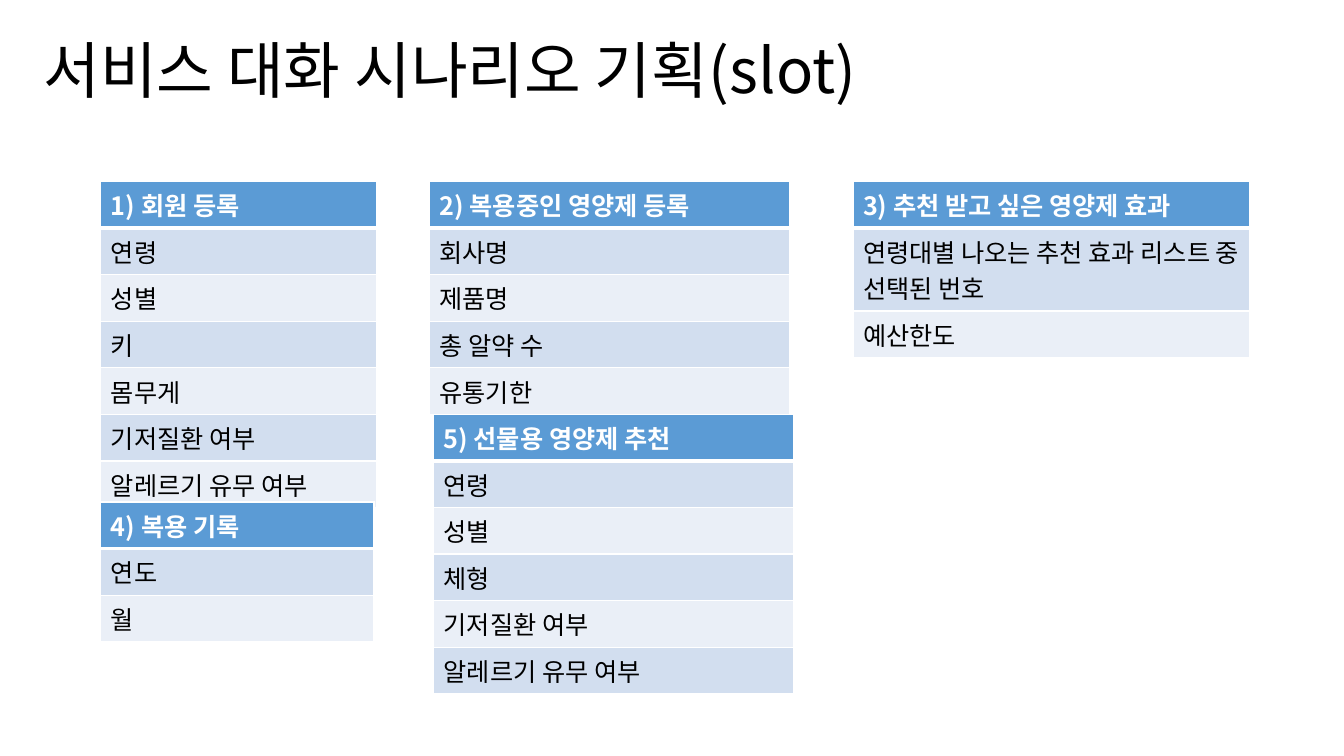
from lxml import etree
from pptx import Presentation
from pptx.dml.color import RGBColor
from pptx.enum.text import MSO_ANCHOR, PP_ALIGN
from pptx.oxml.ns import qn
from pptx.util import Inches, Pt

LEFT = PP_ALIGN.LEFT
TOP, MIDDLE = MSO_ANCHOR.TOP, MSO_ANCHOR.MIDDLE
TITLE_ONLY = 5

BLACK = RGBColor(0x00, 0x00, 0x00)
WHITE = RGBColor(0xFF, 0xFF, 0xFF)
BLUE = RGBColor(0x5B, 0x9B, 0xD5)
BANDS = (RGBColor(0xD2, 0xDE, 0xEF), RGBColor(0xEA, 0xEF, 0xF7))

FONT = "Noto Sans CJK KR"
ROW_H = 0.41
TOP_ROW = 1.8

SLOTS = [
    ((1, TOP_ROW, 2.74), "1) 회원 등록",
     ["연령", "성별", "키", "몸무게", "기저질환 여부", "알레르기 유무 여부"]),
    ((4.26, TOP_ROW, 3.57), "2) 복용중인 영양제 등록",
     ["회사명", "제품명", "총 알약 수", "유통기한"]),
    ((8.46, TOP_ROW, 3.93), "3) 추천 받고 싶은 영양제 효과",
     ["연령대별 나오는 추천 효과 리스트 중 선택된 번호", "예산한도"]),
    ((1, 4.98, 2.71), "4) 복용 기록", ["연도", "월"]),
    ((4.3, 4.11, 3.57), "5) 선물용 영양제 추천",
     ["연령", "성별", "체형", "기저질환 여부", "알레르기 유무 여부"]),
]


def write(tf, text, size=18, color=BLACK, bold=False, spacing=None):
    """Write one left-aligned paragraph in the slide's font."""
    p = tf.paragraphs[0]
    p.alignment = LEFT
    p.line_spacing = spacing
    r = p.add_run()
    r.text = text
    r.font.name = FONT
    r.font.size = Pt(size)
    r.font.bold = bold
    r.font.color.rgb = color
    ea = etree.SubElement(r.font._element, qn("a:ea"))
    ea.set("typeface", FONT)


def set_borders(cell, bottom=1):
    """Draw white borders round a cell, with its own bottom width."""
    tcPr = cell._tc.get_or_add_tcPr()
    widths = {"L": 1, "R": 1, "T": 1, "B": bottom}
    for i, (side, width) in enumerate(widths.items()):
        ln = etree.Element(qn(f"a:ln{side}"), w=str(Pt(width)))
        fill = etree.SubElement(ln, qn("a:solidFill"))
        etree.SubElement(fill, qn("a:srgbClr"), val=str(WHITE))
        tcPr.insert(i, ln)


def add_title(s, text, box):
    """Place and format the slide title."""
    sp = s.shapes.title
    sp.left, sp.top, sp.width, sp.height = map(Inches, box)
    tf = sp.text_frame
    tf.word_wrap = True
    tf.vertical_anchor = MIDDLE
    write(tf, text, size=44, spacing=0.9)


def add_slot_table(s, box, heading, items):
    """Add a one-column table with a heading and banded rows."""
    left, top, width = box
    texts = [heading, *items]
    table = s.shapes.add_table(
        len(texts), 1, Inches(left), Inches(top),
        Inches(width), Inches(ROW_H * len(texts))).table
    for i, text in enumerate(texts):
        header = i == 0
        table.rows[i].height = Inches(ROW_H)
        cell = table.cell(i, 0)
        cell.vertical_anchor = TOP
        cell.fill.solid()
        cell.fill.fore_color.rgb = BLUE if header else BANDS[(i - 1) % 2]
        set_borders(cell, bottom=3 if header else 1)
        write(cell.text_frame, text, color=WHITE if header else BLACK, bold=header)


def main():
    """Build and save the slide."""
    prs = Presentation()
    prs.slide_width, prs.slide_height = Inches(13.33), Inches(7.5)
    s = prs.slides.add_slide(prs.slide_layouts[TITLE_ONLY])
    add_title(s, "서비스 대화 시나리오 기획(slot)", (0.33, 0, 11.5, 1.45))
    for box, heading, items in SLOTS:
        add_slot_table(s, box, heading, items)
    prs.save("out.pptx")


if __name__ == "__main__":
    main()
